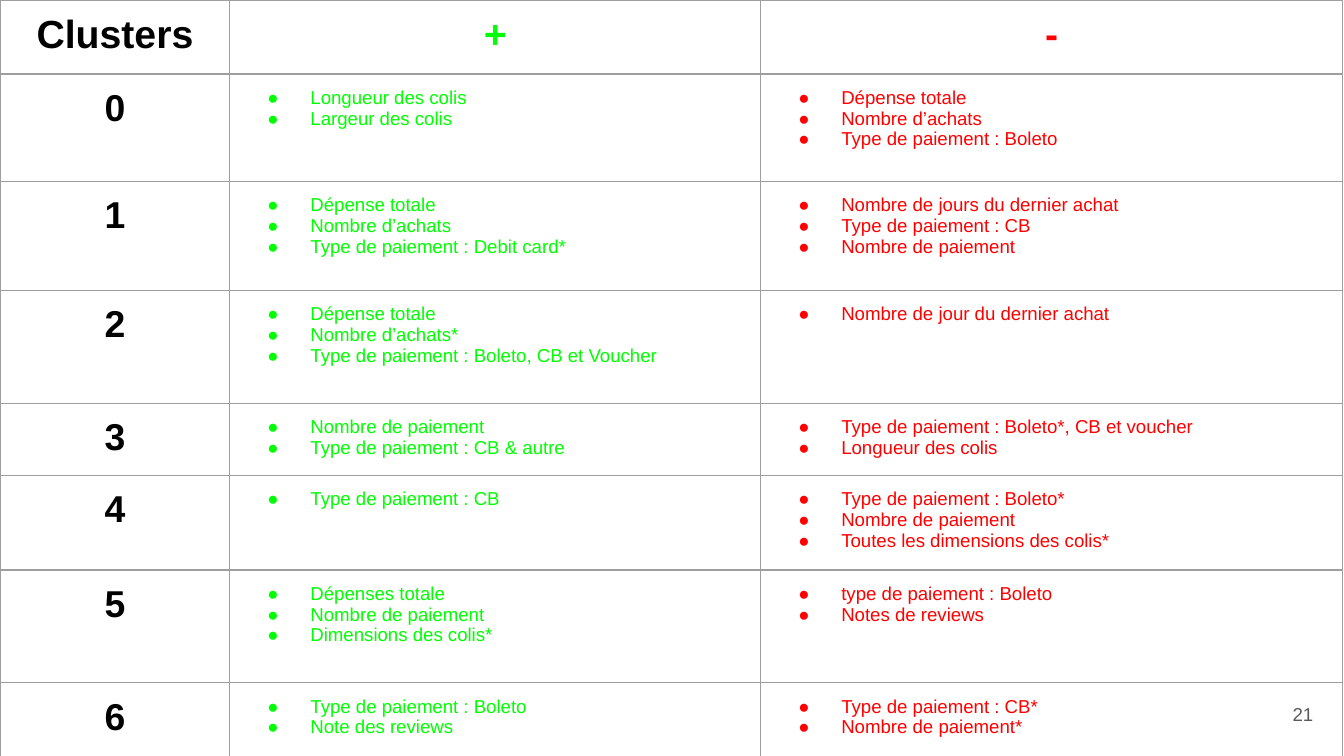
from lxml.etree import SubElement
from pptx import Presentation
from pptx.dml.color import RGBColor
from pptx.enum.text import MSO_ANCHOR, PP_ALIGN
from pptx.oxml.ns import qn
from pptx.util import Inches, Pt

FONT = "Arial"
COLORS = {
    "black": "000000",
    "plus": "00FF00",
    "minus": "FF0000",
    "border": "9E9E9E",
    "number": "595959",
}
TABLE_SIDE = 3.28
COL_WIDTHS = [1.71, 3.95, 4.33]
ROW_HEIGHTS = [0.54, 0.8, 0.81, 0.84, 0.54, 0.54, 0.84, 0.72]
HEADERS = [("Clusters", "black"), ("+", "plus"), ("-", "minus")]
CLUSTERS = [
    (["Longueur des colis", "Largeur des colis"],
     ["Dépense totale", "Nombre d’achats", "Type de paiement : Boleto"]),
    (["Dépense totale", "Nombre d’achats", "Type de paiement : Debit card*"],
     ["Nombre de jours du dernier achat", "Type de paiement : CB", "Nombre de paiement"]),
    (["Dépense totale", "Nombre d’achats*", "Type de paiement : Boleto, CB et Voucher"],
     ["Nombre de jour du dernier achat"]),
    (["Nombre de paiement", "Type de paiement : CB & autre"],
     ["Type de paiement : Boleto*, CB et voucher", "Longueur des colis"]),
    (["Type de paiement : CB"],
     ["Type de paiement : Boleto*", "Nombre de paiement", "Toutes les dimensions des colis*"]),
    (["Dépenses totale", "Nombre de paiement", "Dimensions des colis*"],
     ["type de paiement : Boleto", "Notes de reviews"]),
    (["Type de paiement : Boleto", "Note des reviews"],
     ["Type de paiement : CB*", "Nombre de paiement*"]),
]


def set_margins(box):
    box.margin_left = box.margin_right = Inches(0.1)
    box.margin_top = box.margin_bottom = Inches(0.1)


def format_paragraph(p, size, color, bold=False, align=PP_ALIGN.LEFT):
    p.alignment = align
    for r in p.runs:
        r.font.name = FONT
        r.font.size = Pt(size)
        r.font.bold = bold
        r.font.color.rgb = RGBColor.from_string(COLORS[color])


def add_bullet(p, color):
    pPr = p._p.get_or_add_pPr()
    pPr.set("marL", str(Inches(0.5)))
    pPr.set("indent", str(Inches(-0.32)))
    clr = SubElement(pPr, qn("a:buClr"))
    SubElement(clr, qn("a:srgbClr"), val=COLORS[color])
    SubElement(pPr, qn("a:buFont"), typeface=FONT)
    SubElement(pPr, qn("a:buChar"), char="●")


def style_cell(cell):
    set_margins(cell)
    tcPr = cell._tc.get_or_add_tcPr()
    for side in ("a:lnL", "a:lnR", "a:lnT", "a:lnB"):
        ln = SubElement(tcPr, qn(side), w=str(Pt(0.75)))
        fill = SubElement(ln, qn("a:solidFill"))
        SubElement(fill, qn("a:srgbClr"), val=COLORS["border"])
    cell.fill.background()


def fill_heading(cell, text, size, color):
    cell.text_frame.text = text
    format_paragraph(cell.text_frame.paragraphs[0], size, color, True, PP_ALIGN.CENTER)


def fill_bullets(cell, items, color):
    tf = cell.text_frame
    tf.text = "\n".join(items)
    for p in tf.paragraphs:
        format_paragraph(p, 10, color)
        add_bullet(p, color)


def add_page_number(s, text):
    box = s.shapes.add_textbox(Inches(9.27), Inches(5.1), Inches(0.6), Inches(0.43))
    tf = box.text_frame
    tf.word_wrap = True
    tf.vertical_anchor = MSO_ANCHOR.MIDDLE
    set_margins(tf)
    tf.text = text
    format_paragraph(tf.paragraphs[0], 10, "number", align=PP_ALIGN.RIGHT)


def add_cluster_table(s):
    frame = s.shapes.add_table(
        len(ROW_HEIGHTS), len(COL_WIDTHS), Inches(0), Inches(0),
        Inches(TABLE_SIDE), Inches(TABLE_SIDE))
    table = frame.table
    table.first_row = False
    table.horz_banding = False
    for col, width in zip(table.columns, COL_WIDTHS):
        col.width = Inches(width)
    for row, height in zip(table.rows, ROW_HEIGHTS):
        row.height = Inches(height)
    frame.width = frame.height = Inches(TABLE_SIDE)
    for cell in table.iter_cells():
        style_cell(cell)
    for i, (text, color) in enumerate(HEADERS):
        fill_heading(table.cell(0, i), text, 21, color)
    for i, (plus, minus) in enumerate(CLUSTERS):
        fill_heading(table.cell(i + 1, 0), str(i), 20, "black")
        fill_bullets(table.cell(i + 1, 1), plus, "plus")
        fill_bullets(table.cell(i + 1, 2), minus, "minus")


def main():
    prs = Presentation()
    prs.slide_width = Inches(10)
    prs.slide_height = Inches(10) * 9 // 16
    s = prs.slides.add_slide(prs.slide_layouts[6])
    add_page_number(s, "21")
    add_cluster_table(s)
    prs.save("out.pptx")


if __name__ == "__main__":
    main()
